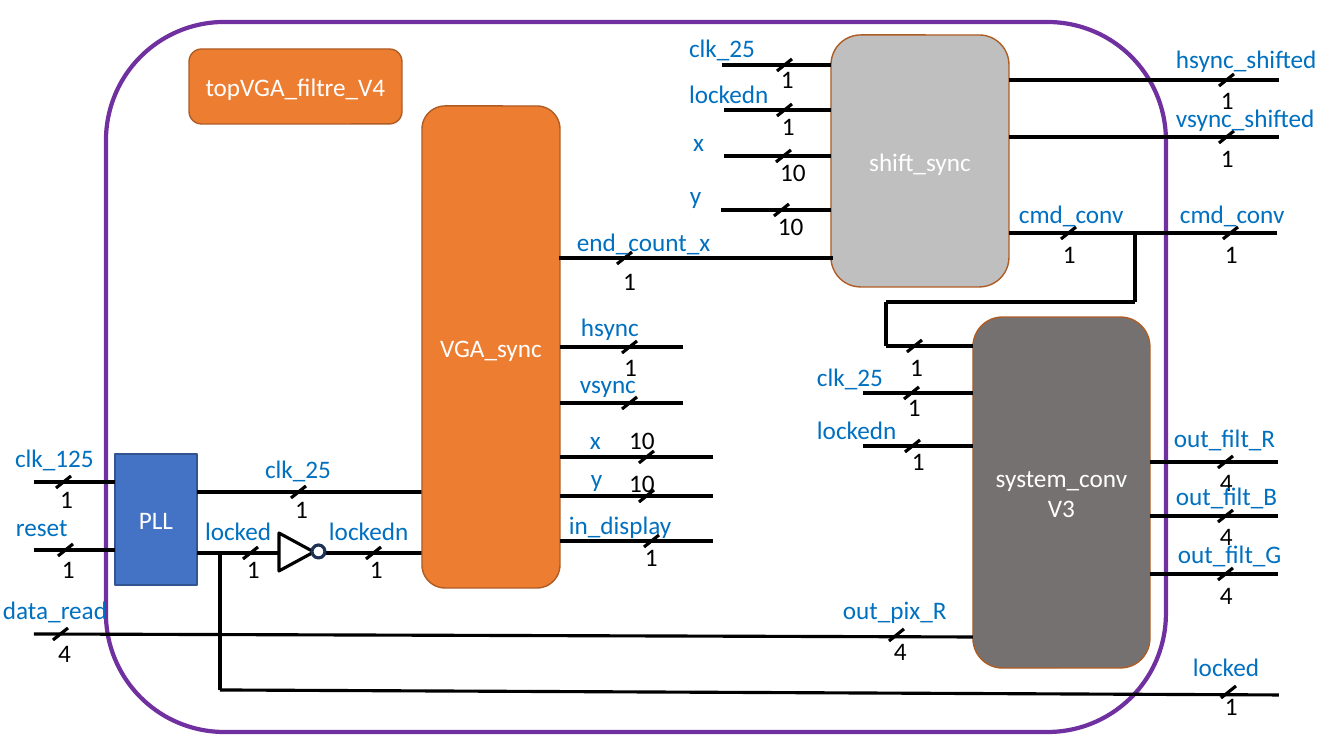
from collections import namedtuple

from lxml.etree import SubElement
from pptx import Presentation
from pptx.dml.color import RGBColor
from pptx.enum.shapes import MSO_CONNECTOR, MSO_SHAPE
from pptx.enum.text import MSO_ANCHOR, PP_ALIGN
from pptx.oxml.ns import qn
from pptx.util import Emu, Pt

BLACK = RGBColor(0x00, 0x00, 0x00)
WHITE = RGBColor(0xFF, 0xFF, 0xFF)
PURPLE = RGBColor(0x70, 0x30, 0xA0)
BLUE = RGBColor(0x44, 0x72, 0xC4)
BLUE_EDGE = RGBColor(0x32, 0x54, 0x91)
NAVY = RGBColor(0x1E, 0x32, 0x56)
ORANGE = RGBColor(0xED, 0x7D, 0x31)
ORANGE_EDGE = RGBColor(0xAF, 0x5C, 0x24)
LIGHT_GRAY = RGBColor(0xBF, 0xBF, 0xBF)
DARK_GRAY = RGBColor(0x76, 0x71, 0x71)
SIGNAL_BLUE = RGBColor(0x00, 0x70, 0xC0)

SCALE = 914400 / 100.8
FONT = "Calibri"
WIRE_WIDTH = 2.25
Box = namedtuple("Box", "left top width height")


def px(length):
    """Turn pixels into EMU."""
    return Emu(round(length * SCALE))


def write(frame, lines, color, align):
    """Fill a text frame, one paragraph per line."""
    frame.margin_left = frame.margin_right = 0
    frame.margin_top = frame.margin_bottom = 0
    for number, line in enumerate(lines):
        para = frame.add_paragraph() if number else frame.paragraphs[0]
        para.alignment = align
        span = para.add_run()
        span.text = line
        span.font.name = FONT
        span.font.size = Pt(18)
        span.font.color.rgb = color


def label(page, left, top, text, color):
    """Place a one-line label at its visible left and top."""
    width = 12 * len(text) + 12
    frame = page.shapes.add_textbox(px(left), px(top), px(width), px(30)).text_frame
    frame.word_wrap = True
    write(frame, [text], color, PP_ALIGN.LEFT)


def block(page, box, preset, fill, edge, lines=(), weight=1):
    """Draw a filled shape with centred white text."""
    shape = page.shapes.add_shape(preset, *map(px, box))
    shape.shadow.inherit = False
    shape.fill.solid()
    shape.fill.fore_color.rgb = fill
    shape.line.color.rgb = edge
    shape.line.width = Pt(weight)
    shape.text_frame.vertical_anchor = MSO_ANCHOR.MIDDLE
    write(shape.text_frame, lines, WHITE, PP_ALIGN.CENTER)


def wire(page, box, *points):
    """Join points, given relative to the box, with straight lines."""
    for (x1, y1), (x2, y2) in zip(points, points[1:]):
        line = page.shapes.add_connector(
            MSO_CONNECTOR.STRAIGHT,
            px(box.left + x1), px(box.top + y1), px(box.left + x2), px(box.top + y2))
        line.line.color.rgb = BLACK
        line.line.width = Pt(WIRE_WIDTH)
        SubElement(line._element.spPr, qn("a:effectLst"))


def mark(page, box, y, slash, bits, bits_dx, bits_dy, name="", name_x=0, name_dy=0):
    """Add a bus slash, its bit width and the signal name to a wire at y."""
    wire(page, box, (slash, y + 6), (slash + 15, y - 6))
    if bits:
        label(page, box.left + slash + bits_dx, box.top + y + bits_dy, bits, BLACK)
    if name:
        label(page, box.left + name_x, box.top + y + name_dy, name, SIGNAL_BLUE)


def signals(page, box, rows):
    """Draw level wires as (start, end, y, mark details)."""
    for start, end, y, *details in rows:
        wire(page, box, (start, y), (end, y))
        mark(page, box, y, *details)


def top_level(page, box):
    """Draw the outer frame and its design name."""
    block(page, box, MSO_SHAPE.ROUNDED_RECTANGLE, WHITE, PURPLE, weight=3)
    title = Box(box.left + 83, box.top + 27, 213, 75)
    block(page, title, MSO_SHAPE.ROUNDED_RECTANGLE, ORANGE, ORANGE_EDGE, ["topVGA_filtre_V4"])


def inverter(page, box):
    """Draw the NOT gate as a triangle and a bubble."""
    builder = page.shapes.build_freeform(px(box.left), px(box.top), scale=1.0)
    corners = [(box.left + 35, box.top + box.height / 2), (box.left, box.top + box.height)]
    builder.add_line_segments([(px(x), px(y)) for x, y in corners], close=True)
    triangle = builder.convert_to_shape()
    triangle.shadow.inherit = False
    triangle.fill.background()
    triangle.line.color.rgb = BLACK
    triangle.line.width = Pt(WIRE_WIDTH)
    bubble = Box(box.left + box.width - 13, box.top + 12, 13, 13)
    block(page, bubble, MSO_SHAPE.OVAL, WHITE, NAVY, weight=WIRE_WIDTH)


def pll(page, box):
    """Draw the clock block, its signals and the inverter."""
    block(page, box, MSO_SHAPE.RECTANGLE, BLUE, BLUE_EDGE, ["PLL"])
    signals(page, box, [
        (-81, 0, 28, -59, "1", 4, 1, "clk_125", -100, -40),
        (-81, 0, 96, -57, "1", 4, 3, "reset", -99, -39),
        (82, 307, 38, 176, "1", 4, 1, "clk_25", 150, -39),
        (82, 163, 99, 128, "1", 4, 0, "locked", 90, -38),
        (210, 307, 99, 251, "1", 4, 0, "lockedn", 214, -38),
    ])
    inverter(page, Box(box.left + 164, box.top + 79, 46, 38))


def vga_sync(page, box):
    """Draw the VGA_sync block and its outputs."""
    block(page, box, MSO_SHAPE.ROUNDED_RECTANGLE, ORANGE, ORANGE_EDGE, ["VGA_sync"])
    signals(page, box, [
        (137, 411, 152, 195, "1", 6, 7, "end_count_x", 155, -32),
        (138, 261, 241, 200, "1", 2, 4, "hsync", 159, -36),
        (138, 261, 297, 200, "", 0, 0, "vsync", 158, -35),
        (138, 291, 351, 217, "10", -10, -33, "x", 168, -33),
        (138, 291, 390, 217, "10", -10, -29, "y", 169, -34),
        (138, 291, 435, 222, "1", 1, 0, "in_display", 147, -32),
    ])


def shift_sync(page, box):
    """Draw the shift_sync block, its inputs and outputs."""
    block(page, box, MSO_SHAPE.ROUNDED_RECTANGLE, LIGHT_GRAY, ORANGE_EDGE, ["shift_sync"])
    signals(page, box, [
        (-109, 0, 30, -54, "1", 4, -2, "clk_25", -142, -33),
        (-107, 0, 75, -54, "1", 5, 0, "lockedn", -142, -32),
        (-107, 0, 121, -55, "10", 4, 0, "x", -138, -30),
        (-110, 0, 175, -57, "10", 4, 0, "y", -141, -31),
        (178, 448, 45, 388, "1", 2, 4, "hsync_shifted", 345, -37),
        (178, 448, 102, 388, "1", 2, 5, "vsync_shifted", 345, -35),
        (178, 304, 198, 230, "1", 2, 5, "cmd_conv", 188, -35),
        (304, 446, 198, 392, "1", 2, 5, "cmd_conv", 349, -35),
    ])


def system_conv(page, box):
    """Draw the system_conv block, its command path, inputs and outputs."""
    block(page, box, MSO_SHAPE.ROUNDED_RECTANGLE, DARK_GRAY, ORANGE_EDGE, ["system_conv", "V3"])
    wire(page, box, (162, -84), (162, -15), (-87, -15), (-87, 29))
    signals(page, box, [
        (-87, 0, 29, -66, "1", 3, 5),
        (-110, 0, 76, -69, "1", 4, -2, "clk_25", -156, -32),
        (-110, 0, 129, -68, "1", 7, -1, "lockedn", -156, -32),
        (177, 305, 145, 245, "4", 2, 4, "out_filt_R", 201, -40),
        (177, 305, 199, 245, "4", 2, 4, "out_filt_B", 203, -36),
        (177, 305, 257, 245, "4", 2, 5, "out_filt_G", 205, -36),
    ])


def long_wires(page, box):
    """Draw the data and lock wires that cross the frame."""
    wire(page, box, (-72, 612), (867, 615))
    mark(page, box, 612, -53, "4", 5, 3, "data_read", -103, -40)
    mark(page, box, 613, 783, "4", 5, 0, "out_pix_R", 737, -41)
    wire(page, box, (114, 531), (114, 668), (1173, 673))
    mark(page, box, 670, 1115, "1", 4, -2, "locked", 1087, -41)


deck = Presentation()
deck.slide_width, deck.slide_height = px(1344), px(756)
page = deck.slides.add_slide(deck.slide_layouts[6])
frame_box = Box(106, 22, 1060, 710)
top_level(page, frame_box)
pll(page, Box(115, 454, 82, 131))
shift_sync(page, Box(831, 35, 178, 252))
vga_sync(page, Box(422, 106, 138, 482))
system_conv(page, Box(973, 317, 177, 351))
long_wires(page, frame_box)
deck.save("out.pptx")
